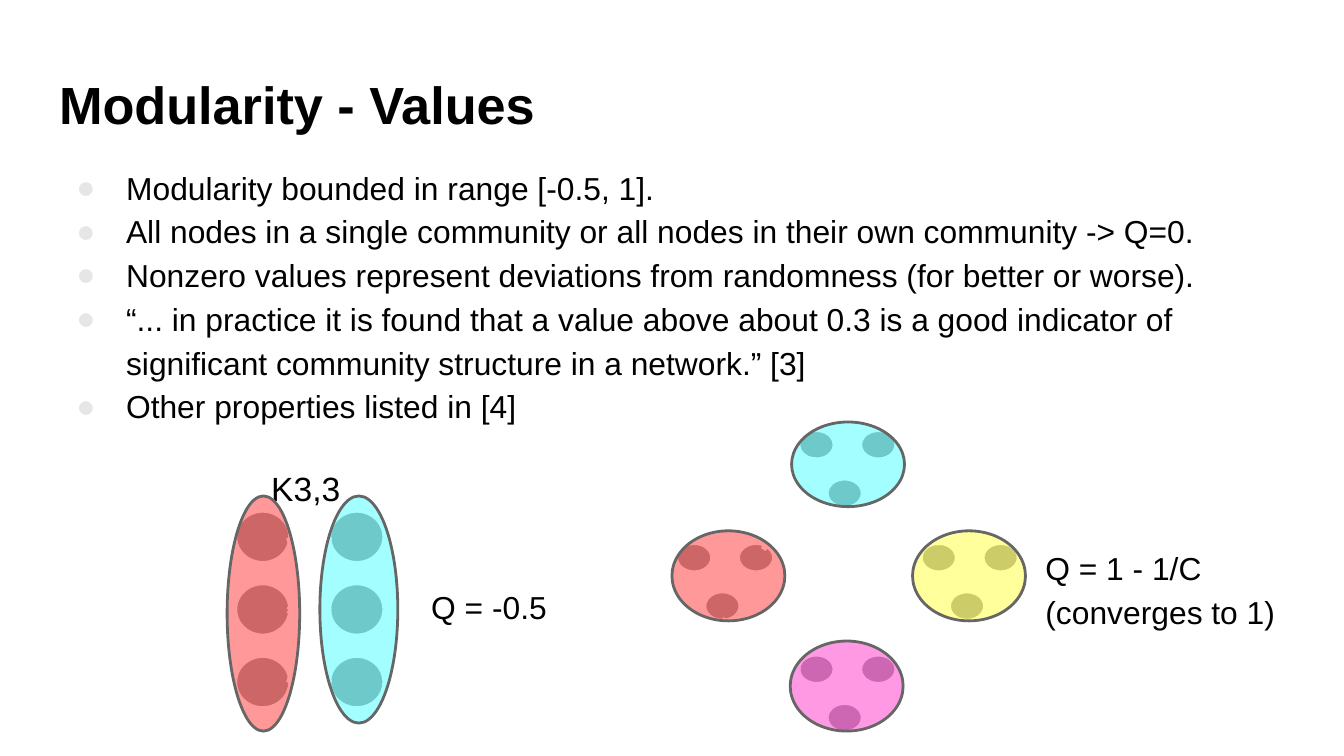
from itertools import product

from lxml import etree
from pptx import Presentation
from pptx.dml.color import RGBColor
from pptx.enum.shapes import MSO_CONNECTOR, MSO_SHAPE
from pptx.enum.text import MSO_ANCHOR, MSO_AUTO_SIZE, PP_ALIGN
from pptx.oxml.ns import qn
from pptx.util import Pt

OVAL = MSO_SHAPE.OVAL
STRAIGHT = MSO_CONNECTOR.STRAIGHT
TOP = MSO_ANCHOR.TOP
NO_AUTOFIT = MSO_AUTO_SIZE.NONE
LEFT = PP_ALIGN.LEFT

SCALE = 9144  # EMU per px, 100 px to the inch
SLIDE_WIDTH = 1000
FONT = "Arial"

BLACK = RGBColor(0x00, 0x00, 0x00)
WHITE = RGBColor(0xFF, 0xFF, 0xFF)
NODE_GRAY = RGBColor(0xAD, 0xAD, 0xAD)
BORDER_GRAY = RGBColor(0x66, 0x66, 0x66)
BULLET_GRAY = RGBColor(0xE7, 0xE6, 0xE6)
RED = RGBColor(0xFF, 0x00, 0x00)
CYAN = RGBColor(0x00, 0xFF, 0xFF)
PINK = RGBColor(0xFF, 0x00, 0xBC)
YELLOW = RGBColor(0xFF, 0xFF, 0x00)

BULLETS = [
    "Modularity bounded in range [-0.5, 1].",
    "All nodes in a single community or all nodes in their own community -> Q=0.",
    "Nonzero values represent deviations from randomness (for better or worse).",
    "“... in practice it is found that a value above about 0.3 is a good indicator of "
    "significant community structure in a network.” [3]",
    "Other properties listed in [4]",
]

# Bipartite graph: node and link positions
NODE_COLUMNS = (176, 246)
NODE_ROWS = (381, 435, 489)
LINK_ROWS = (400, 454, 508)

# Triangle communities: first node of each, then offsets from it
TRIANGLES = [(504, 405), (595, 321), (686, 405), (595, 488)]
TRIANGLE_NODES = [(0, 0), (21, 36), (46, 0)]
TRIANGLE_LINKS = [(13, 11, 34, 48), (58, 12, 34, 46), (14, 12, 57, 12)]
RING_LINKS = [
    (568, 409, 608, 341),
    (537, 461, 595, 499),
    (710, 458, 662, 491),
    (699, 405, 662, 338),
]

# Box, colour and opacity in percent
BIPARTITE_HALOS = [
    ((169, 369, 54, 175), RED, 40),
    ((238, 369, 58, 169), CYAN, 36),
]
RING_HALOS = [
    ((500, 395, 84, 67), RED, 40),
    ((589, 314, 84, 63), CYAN, 36),
    ((588, 477, 84, 67), PINK, 40),
    ((679, 395, 84, 67), YELLOW, 39),
]


def px(*values):
    return [value * SCALE for value in values]


def place(shape, box):
    shape.left, shape.top, shape.width, shape.height = px(*box)


def add_bullet(paragraph):
    properties = paragraph._p.get_or_add_pPr()
    indent, hanging = px(50, -37)
    properties.set("marL", str(indent))
    properties.set("indent", str(hanging))
    color = etree.SubElement(properties, qn("a:buClr"))
    etree.SubElement(color, qn("a:srgbClr")).set("val", str(BULLET_GRAY))
    etree.SubElement(properties, qn("a:buFont")).set("typeface", FONT)
    etree.SubElement(properties, qn("a:buChar")).set("char", "●")


def write_text(shape, paragraphs, size=17, bold=False, spacing=1.15, after=0, bullet=False):
    frame = shape.text_frame
    frame.word_wrap = True
    frame.auto_size = NO_AUTOFIT
    frame.vertical_anchor = TOP
    frame.margin_left, frame.margin_top, frame.margin_right, frame.margin_bottom = px(10, 10, 10, 10)
    for index, text in enumerate(paragraphs):
        paragraph = frame.add_paragraph() if index else frame.paragraphs[0]
        paragraph.text = text
        paragraph.alignment = LEFT
        paragraph.line_spacing = spacing
        paragraph.space_before = Pt(0)
        paragraph.space_after = Pt(after)
        if bullet:
            add_bullet(paragraph)
        for run in paragraph.runs:
            run.font.name = FONT
            run.font.size = Pt(size)
            run.font.bold = bold
            run.font.color.rgb = BLACK


def add_text(slide, box, paragraphs, **text_format):
    shape = slide.shapes.add_textbox(*px(*box))
    write_text(shape, paragraphs, **text_format)


def add_ellipse(slide, box, fill, line, line_width, opacity=100):
    shape = slide.shapes.add_shape(OVAL, *px(*box))
    shape.shadow.inherit = False
    shape.fill.solid()
    shape.fill.fore_color.rgb = fill
    shape.line.color.rgb = line
    shape.line.width = Pt(line_width)
    if opacity < 100:
        color = shape._element.spPr.find(qn("a:solidFill")).find(qn("a:srgbClr"))
        etree.SubElement(color, qn("a:alpha")).set("val", str(opacity * 1000))


def add_node(slide, left, top, width, height):
    add_ellipse(slide, (left, top, width, height), NODE_GRAY, WHITE, 0.75)


def add_halos(slide, halos):
    for box, color, opacity in halos:
        add_ellipse(slide, box, color, BORDER_GRAY, 1.5, opacity)


def add_link(slide, *ends):
    connector = slide.shapes.add_connector(STRAIGHT, *px(*ends))
    connector.line.color.rgb = WHITE
    connector.line.width = Pt(3)
    etree.SubElement(connector._element.spPr, qn("a:effectLst"))


def add_bipartite_graph(slide):
    for left, top in product(NODE_COLUMNS, NODE_ROWS):
        add_node(slide, left, top, 39, 37)
    for start, end in product(LINK_ROWS, LINK_ROWS):
        add_link(slide, 215, start, 245, end)
    add_text(slide, (192, 334, 76, 72), ["K3,3"], size=18, after=12)
    add_text(slide, (311, 423, 108, 70), ["Q = -0.5"], after=12)
    add_halos(slide, BIPARTITE_HALOS)


def add_triangle(slide, left, top):
    for x1, y1, x2, y2 in TRIANGLE_LINKS:
        add_link(slide, left + x1, top + y1, left + x2, top + y2)
    for x, y in TRIANGLE_NODES:
        add_node(slide, left + x, top + y, 25, 20)


def add_community_ring(slide):
    for left, top in TRIANGLES:
        add_triangle(slide, left, top)
    for ends in RING_LINKS:
        add_link(slide, *ends)
    add_text(slide, (768, 394, 208, 103), ["Q = 1 - 1/C\n(converges to 1)"], after=12)
    add_halos(slide, RING_HALOS)


def main():
    # Slide in 16:9 format
    presentation = Presentation()
    presentation.slide_width = SLIDE_WIDTH * SCALE
    presentation.slide_height = SLIDE_WIDTH * SCALE * 9 // 16
    slide = presentation.slides.add_slide(presentation.slide_layouts[5])

    # Title and bullet list
    title = slide.shapes.title
    place(title, (34, 49, 932, 63))
    write_text(title, ["Modularity - Values"], size=28, bold=True, spacing=0.9)
    add_text(slide, (34, 111, 904, 218), BULLETS, bullet=True)

    # Example graphs
    add_bipartite_graph(slide)
    add_community_ring(slide)

    presentation.save("out.pptx")


if __name__ == "__main__":
    main()
